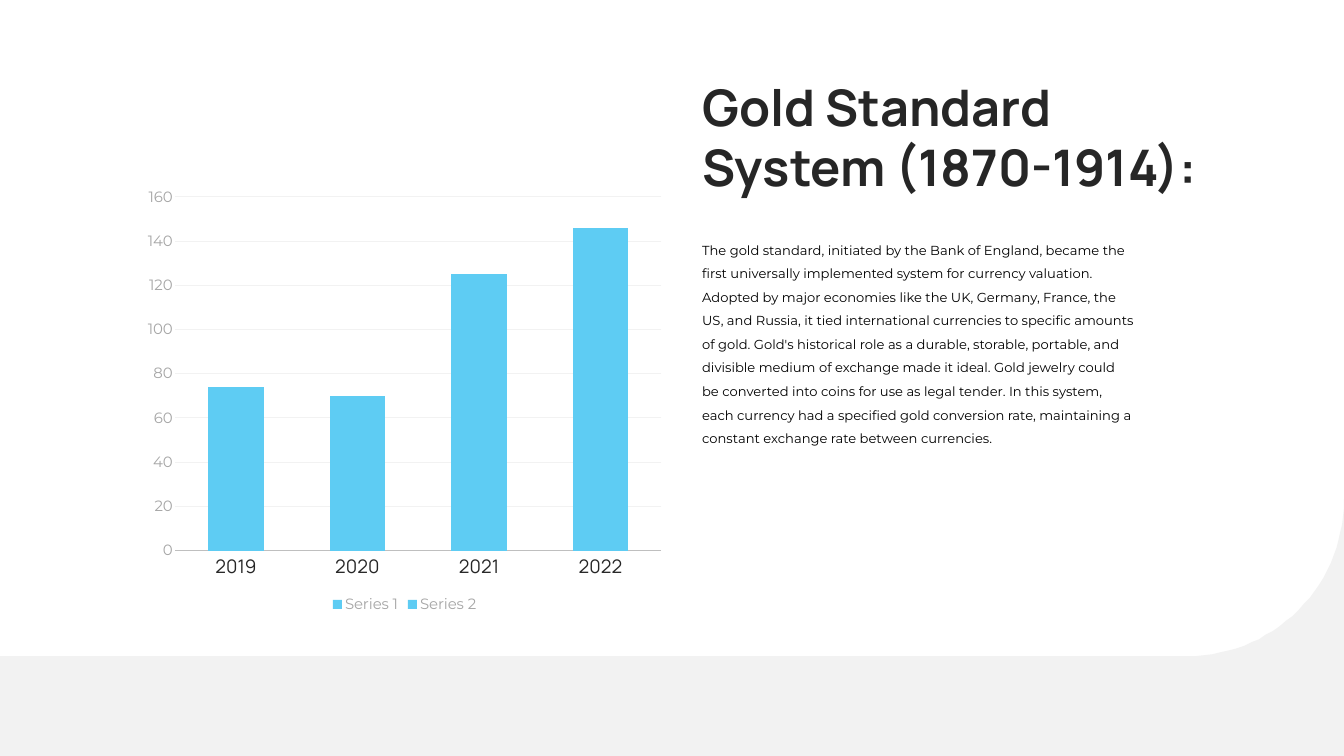
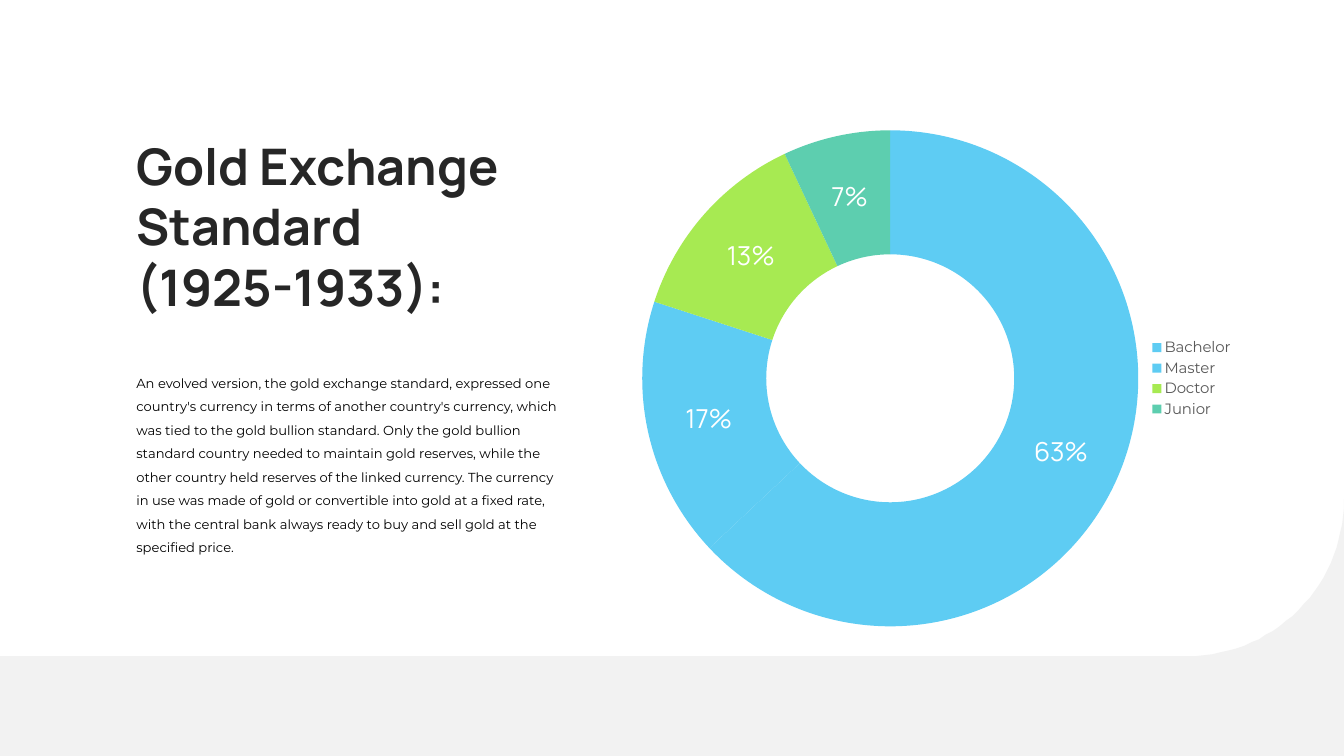
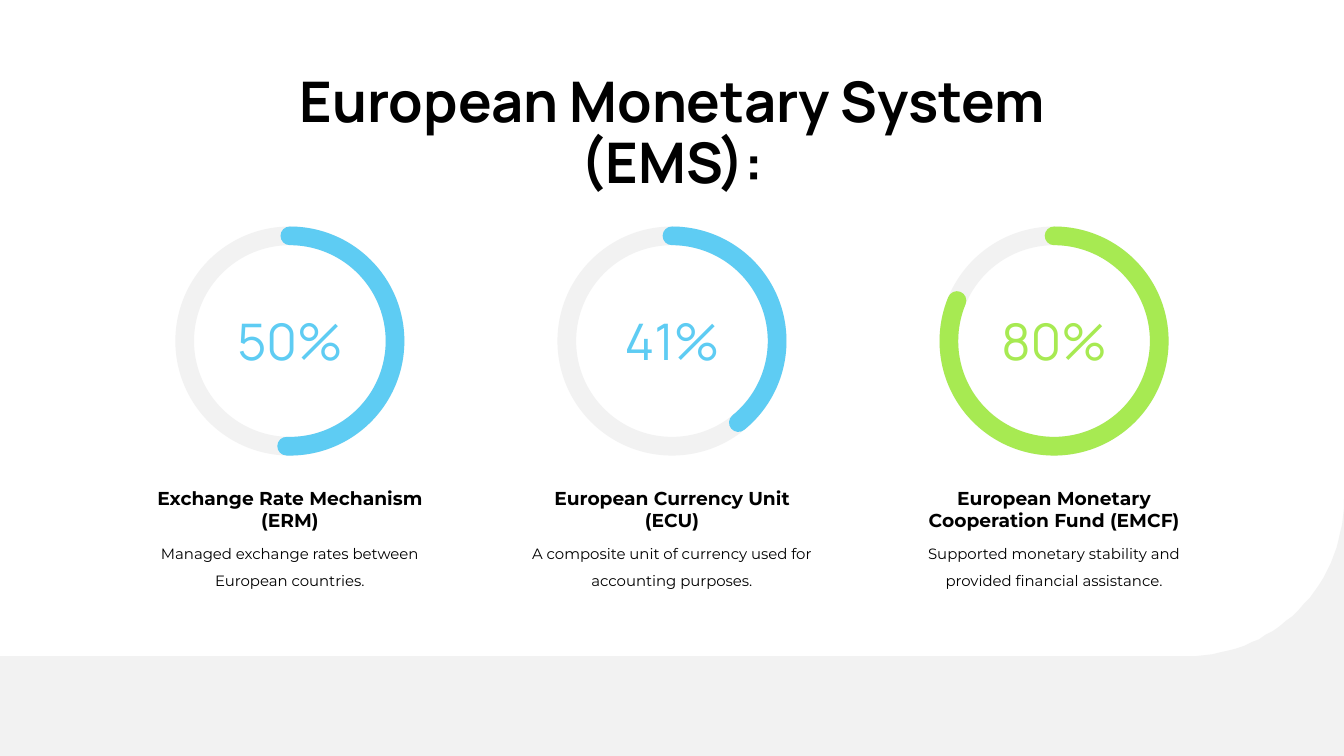
from dataclasses import dataclass
from math import cos, radians, sin

from pptx import Presentation
from pptx.chart.data import CategoryChartData
from pptx.dml.color import RGBColor
from pptx.enum.chart import XL_CHART_TYPE as CT, XL_LEGEND_POSITION as LP, XL_TICK_MARK as TM
from pptx.enum.shapes import MSO_SHAPE as MS
from pptx.enum.text import MSO_ANCHOR as MA, MSO_AUTO_SIZE as AUTO, PP_ALIGN as AL
from pptx.util import Pt


@dataclass(frozen=True)
class Theme:
    heading: str = "Manrope"
    body: str = "Montserrat"
    black: str = "000000"
    ink: str = "262626"
    legend: str = "595959"
    muted: str = "A6A6A6"
    axis: str = "BFBFBF"
    pale: str = "F2F2F2"
    white: str = "FFFFFF"
    blue: str = "5ECCF3"
    green: str = "A7EA52"
    teal: str = "5DCEAF"
    banner_size: int = 60
    title_size: int = 54
    label_size: int = 28
    caption_size: int = 20
    small_size: int = 16
    body_size: int = 14
    ring_width: int = 20


T = Theme()
SLIDE_W, SLIDE_H = 1440, 810


# Shared helpers
def rgb(color):
    return RGBColor.from_string(color)


def set_font(font, name, size, color, bold=False):
    font.name, font.size, font.bold = name, Pt(size), bold
    font.color.rgb = rgb(color)


def fill_solid(fill, color):
    fill.solid()
    fill.fore_color.rgb = rgb(color)


def add_text(shapes, box, text, name, size, color, bold=False, align=AL.LEFT,
             before=0, spacing=None):
    sp = shapes.add_textbox(*map(Pt, box))
    tf = sp.text_frame
    tf.word_wrap = True
    tf.auto_size = AUTO.SHAPE_TO_FIT_TEXT
    tf.text = text
    p = tf.paragraphs[0]
    p.alignment, p.space_before, p.line_spacing = align, Pt(before), spacing
    set_font(p.runs[0].font, name, size, color, bold)
    return sp


def add_title(slide, box, text):
    add_text(slide.shapes, box, text, T.heading, T.title_size, T.ink, True, before=12)


def add_body(slide, box, text):
    add_text(slide.shapes, box, text, T.body, T.body_size, T.black, before=12, spacing=1.5)


def add_corner_band(slide):
    """Grey footer band whose top edge sweeps up the right side."""
    cx, cy, radius = 1272.5, 535.3, 167.5
    arc = [(cx + radius * cos(radians(a)), cy + radius * sin(radians(a)))
           for a in range(90, -1, -3)]
    points = [(SLIDE_W, SLIDE_H), (0, SLIDE_H), (0, cy + radius)] + arc
    builder = slide.shapes.build_freeform(*points[0], scale=Pt(1))
    builder.add_line_segments(points[1:])
    sp = builder.convert_to_shape()
    sp.shadow.inherit = False
    fill_solid(sp.fill, T.pale)
    sp.line.fill.background()


def new_slide(prs):
    slide = prs.slides.add_slide(prs.slide_layouts[6])
    add_corner_band(slide)
    return slide


def add_chart(slide, box, kind, cats, series, base_size, legend_at, legend_color):
    data = CategoryChartData()
    data.categories = cats
    for name, values in series:
        data.add_series(name, values)
    chart = slide.shapes.add_chart(kind, *map(Pt, box), data).chart
    chart.has_title = False
    set_font(chart.font, T.body, base_size, T.black)
    chart.has_legend = True
    chart.legend.position = legend_at
    chart.legend.include_in_layout = False
    set_font(chart.legend.font, T.body, T.small_size, legend_color)
    return chart


# Stacked columns
def add_column_chart(slide, box):
    chart = add_chart(slide, box, CT.COLUMN_STACKED, ["2019", "2020", "2021", "2022"],
                      [("Series 1", (18, 27, 53, 87)), ("Series 2", (56, 43, 72, 59))],
                      18, LP.BOTTOM, T.muted)
    plot = chart.plots[0]
    plot.gap_width, plot.overlap = 120, 100
    plot.vary_by_categories = False
    for s in plot.series:
        fill_solid(s.format.fill, T.blue)

    cat, val = chart.category_axis, chart.value_axis
    cat.major_tick_mark = val.major_tick_mark = TM.NONE
    set_font(cat.tick_labels.font, T.heading, T.caption_size, T.ink)
    cat.format.line.color.rgb = rgb(T.axis)
    cat.format.line.width = Pt(0.75)
    set_font(val.tick_labels.font, T.body, T.small_size, T.muted)
    val.minimum_scale, val.maximum_scale, val.major_unit = 0, 160, 20
    val.format.line.fill.background()
    val.has_major_gridlines = True
    val.major_gridlines.format.line.color.rgb = rgb(T.pale)
    val.major_gridlines.format.line.width = Pt(1)


# Doughnut
def add_doughnut_chart(slide, box):
    chart = add_chart(slide, box, CT.DOUGHNUT, ["Bachelor", "Master", "Doctor", "Junior"],
                      [("Series 1", (0.63, 0.17, 0.13, 0.07))],
                      10, LP.RIGHT, T.legend)
    plot = chart.plots[0]
    plot.vary_by_categories = True
    for i, color in enumerate((T.blue, T.blue, T.green, T.teal)):
        fmt = plot.series[0].points[i].format
        fill_solid(fmt.fill, color)
        fmt.line.fill.background()
    labels = plot.series[0].data_labels
    labels.show_value = True
    labels.show_percentage = False
    labels.number_format, labels.number_format_is_linked = "0%", False
    set_font(labels.font, T.heading, T.label_size, T.white)


# Progress ring: full track, rounded arc and percentage
def add_ring(slide, box, percent, sweep, color):
    left, top, size, _ = box
    group = slide.shapes.add_group_shape()
    for kind, line_color in ((MS.OVAL, T.pale), (MS.ARC, color)):
        sp = group.shapes.add_shape(kind, *map(Pt, box))
        sp.shadow.inherit = False
        sp.fill.background()
        sp.line.color.rgb = rgb(line_color)
        sp.line.width = Pt(T.ring_width)
        if kind == MS.ARC:
            # Arc angles are held in units of 5/3 degree
            sp.adjustments[0] = 270 * 0.6
            sp.adjustments[1] = sweep * 0.6
            sp.line._get_or_add_ln().set("cap", "rnd")
    width = 156
    add_text(slide.shapes, (left + (size - width) / 2, top + 76.3, width, 72.7), percent,
             T.heading, T.title_size, color, align=AL.CENTER)


# Heading and explanation under a ring
def add_caption(slide, box, heading, text):
    left, top, width, _ = box
    inset = 16
    group = slide.shapes.add_group_shape()
    add_text(group.shapes, (left + inset, top, width - 2 * inset, 55.4), heading,
             T.body, T.caption_size, T.black, True, AL.CENTER, before=24)
    add_text(group.shapes, (left, top + 52.6, width, 62), text,
             T.body, T.small_size, T.black, align=AL.CENTER, before=12, spacing=1.5)


# Slides
def gold_standard_slide(prs):
    slide = new_slide(prs)
    add_column_chart(slide, (146.9, 192.2, 573.1, 468))
    add_title(slide, (745.2, 77.8, 584.6, 138.2), "Gold Standard System (1870-1914):")
    add_body(slide, (745.2, 247.7, 478, 233.3),
             "The gold standard, initiated by the Bank of England, became the first "
             "universally implemented system for currency valuation. Adopted by major "
             "economies like the UK, Germany, France, the US, and Russia, it tied "
             "international currencies to specific amounts of gold. Gold's historical role "
             "as a durable, storable, portable, and divisible medium of exchange made it "
             "ideal. Gold jewelry could be converted into coins for use as legal tender. In "
             "this system, each currency had a specified gold conversion rate, maintaining "
             "a constant exchange rate between currencies.")


def gold_exchange_slide(prs):
    slide = new_slide(prs)
    add_body(slide, (139, 390.2, 478, 208),
             "An evolved version, the gold exchange standard, expressed one country's "
             "currency in terms of another country's currency, which was tied to the gold "
             "bullion standard. Only the gold bullion standard country needed to maintain "
             "gold reserves, while the other country held reserves of the linked currency. "
             "The currency in use was made of gold or convertible into gold at a fixed "
             "rate, with the central bank always ready to buy and sell gold at the "
             "specified price.")
    add_doughnut_chart(slide, (678.2, 118.8, 651.6, 573.1))
    add_title(slide, (139, 141.1, 432, 203.8), "Gold Exchange Standard (1925-1933):")


def monetary_system_slide(prs):
    slide = new_slide(prs)
    title = add_text(slide.shapes, (234.7, 100.8, 970.6, 87.1),
                     "European Monetary System (EMS):", T.heading, T.banner_size,
                     T.black, True, AL.CENTER, spacing=0.9)
    tf = title.text_frame
    tf.auto_size = AUTO.NONE
    tf.vertical_anchor = MA.MIDDLE
    tf.margin_left = tf.margin_right = tf.margin_top = tf.margin_bottom = 0

    # Percentage, end angle of the arc, colour, heading, explanation
    items = [
        ("50%", 91.75, T.blue, "Exchange Rate Mechanism (ERM)",
         "Managed exchange rates between European countries."),
        ("41%", 50.85, T.blue, "European Currency Unit (ECU)",
         "A composite unit of currency used for accounting purposes."),
        ("80%", 202.64, T.green, "European Monetary Cooperation Fund (EMCF)",
         "Supported monetary stability and provided financial assistance."),
    ]
    pitch, ring, caption_w = 409.4, 225.4, 355
    for i, (percent, sweep, color, heading, text) in enumerate(items):
        center = SLIDE_W / 2 + (i - 1) * pitch
        add_ring(slide, (center - ring / 2, 252.7, ring, ring), percent, sweep, color)
        add_caption(slide, (center - caption_w / 2, 517.7, caption_w, 114.6), heading, text)


def main():
    prs = Presentation()
    prs.slide_width, prs.slide_height = Pt(SLIDE_W), Pt(SLIDE_H)
    gold_standard_slide(prs)
    gold_exchange_slide(prs)
    monetary_system_slide(prs)
    prs.save("out.pptx")


if __name__ == "__main__":
    main()
